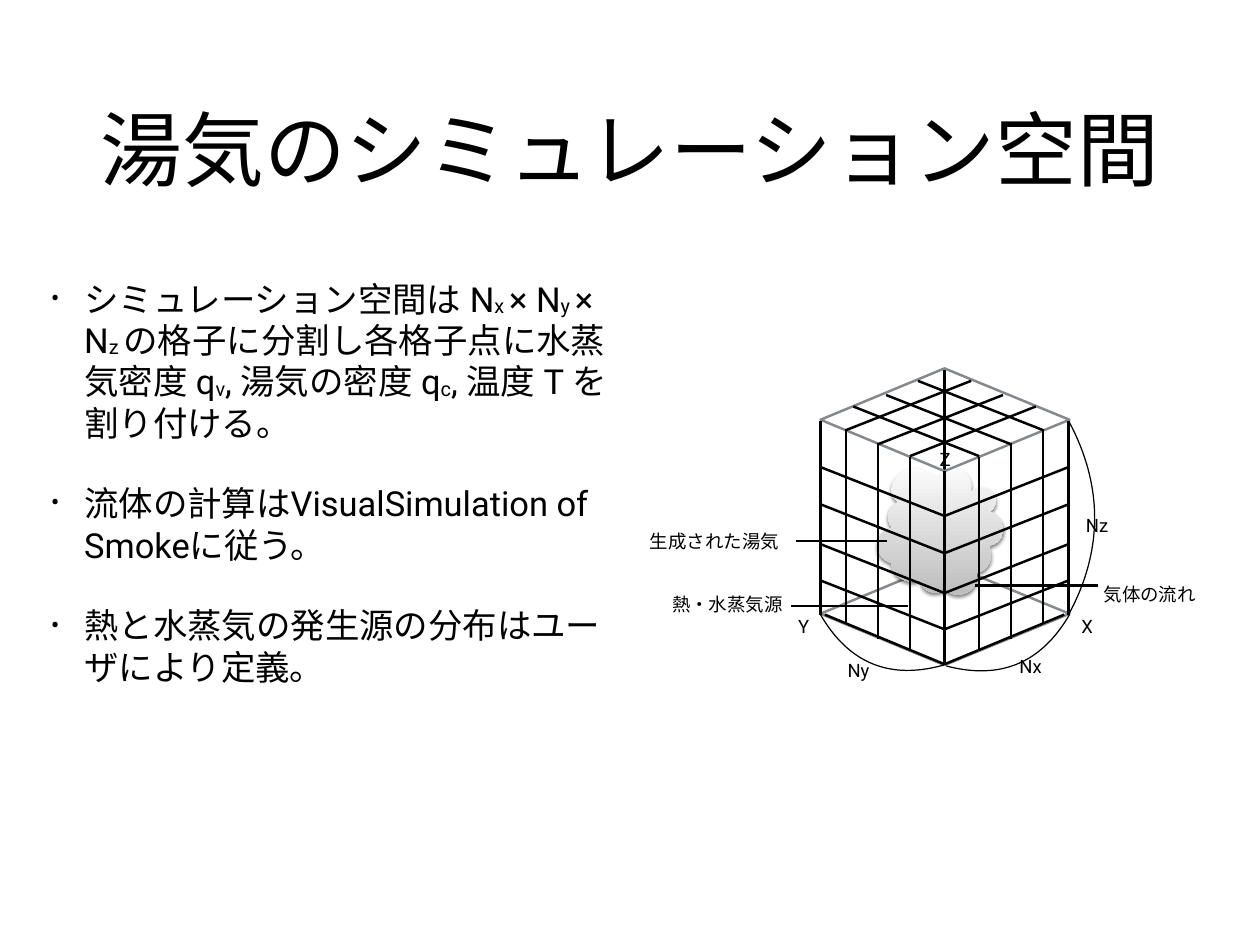
from dataclasses import dataclass

import pptx
import pptx.dml.color
import pptx.enum.shapes
import pptx.enum.text
import pptx.oxml
import pptx.oxml.ns
import pptx.util
from lxml import etree

PX = 9144  # EMU per px, 100 px to the inch
CENTER = 1066  # x of the cube's vertical axis
ALIGN = pptx.enum.text.PP_ALIGN
ANCHOR = pptx.enum.text.MSO_ANCHOR
INSET = pptx.util.Pt(4)
HANGING = pptx.util.Pt(27)


def rgb(code):
    return pptx.dml.color.RGBColor.from_string(code)


@dataclass(frozen=True)
class Theme:
    font: str = "Roboto"
    ink: str = "000000"
    edge: str = "85888D"
    steam: tuple = ("FBFBFB", "BEBEBE")
    title: float = 66.4
    body: int = 28
    label: int = 15


THEME = Theme()

BODY = [
    [("シミュレーション空間は N", False), ("x ", True), ("× N", False), ("y ", True),
     ("× N", False), ("z ", True), ("の格子に分割し各格子点に水蒸気密度 q", False),
     ("v", True), (", 湯気の密度 q", False), ("c", True),
     (", 温度 T を割り付ける。", False)],
    [("流体の計算はVisualSimulation of Smokeに従う。", False)],
    [("熱と水蒸気の発生源の分布はユーザにより定義。", False)],
]

# Each step is a straight end point or two control points and an end point
CLOUD_START = (1006, 636)
CLOUD = [
    (1002, 634, 998, 632, 995, 629), (990, 623, 989, 615, 992, 608),
    (994, 601, 1000, 597, 1007, 596), (1003, 592, 1001, 585, 1003, 579),
    (1004, 573, 1008, 569, 1014, 567), (1009, 564, 1006, 558, 1006, 553),
    (1006, 545, 1011, 539, 1017, 534), (1021, 531, 1027, 528, 1033, 528),
    (1038, 528, 1043, 532, 1048, 534), (1052, 536, 1055, 538, 1059, 540),
    (1063, 532, 1073, 528, 1081, 530), (1093, 533, 1099, 545, 1095, 556),
    (1102, 547, 1115, 548, 1121, 558), (1126, 564, 1124, 574, 1117, 578),
    (1128, 581, 1134, 592, 1132, 602), (1130, 610, 1123, 616, 1116, 616),
    (1119, 623, 1119, 631, 1116, 637), (1113, 642, 1108, 646, 1102, 647),
    (1103, 651, 1102, 656, 1101, 659), (1095, 672, 1079, 675, 1068, 667),
    (1056, 669), (1053, 669, 1049, 669, 1047, 667),
    (1042, 665, 1039, 660, 1039, 655), (1034, 657, 1029, 658, 1024, 656),
    (1014, 654, 1007, 646, 1006, 636),
]

LABELS = [
    ("Nz", 1220, 567, 49, 52, ALIGN.LEFT),
    ("Nx", 1145, 726, 49, 52, ALIGN.LEFT),
    ("Ny", 951, 731, 49, 52, ALIGN.LEFT),
    ("熱・水蒸気源", 753, 662, 210, 41, ALIGN.LEFT),
    ("生成された湯気", 728, 587, 243, 49, ALIGN.LEFT),
    ("気体の流れ", 1240, 645, 177, 52, ALIGN.LEFT),
    ("Z", 1055, 498, 23, 41, ALIGN.CENTER),
    ("Y", 895, 684, 24, 46, ALIGN.CENTER),
    ("X", 1211, 684, 32, 46, ALIGN.CENTER),
]


# Text
def add_frame(slide, left, top, width, height, anchor):
    frame = slide.shapes.add_textbox(left * PX, top * PX, width * PX, height * PX).text_frame
    frame.word_wrap = True
    frame.vertical_anchor = anchor
    frame.margin_left = frame.margin_right = INSET
    frame.margin_top = frame.margin_bottom = INSET
    return frame


def style(paragraph, size):
    font = paragraph.font
    font.name = THEME.font
    font.size = pptx.util.Pt(size)
    font.color.rgb = rgb(THEME.ink)
    east_asian = pptx.oxml.parse_xml(
        f'<a:ea {pptx.oxml.ns.nsdecls("a")} typeface="{THEME.font}"/>')
    paragraph._p.pPr.find(pptx.oxml.ns.qn("a:defRPr")).append(east_asian)


def add_label(slide, text, left, top, width, height, align, size=THEME.label):
    paragraph = add_frame(slide, left, top, width, height, ANCHOR.MIDDLE).paragraphs[0]
    paragraph.text = text
    paragraph.alignment = align
    style(paragraph, size)


def add_bullets(slide, items, left, top, width, height):
    frame = add_frame(slide, left, top, width, height, ANCHOR.TOP)
    for index, pieces in enumerate(items):
        paragraph = frame.add_paragraph() if index else frame.paragraphs[0]
        paragraph.space_before = pptx.util.Pt(32 if index else 0)
        properties = paragraph._p.get_or_add_pPr()
        properties.set("marL", str(HANGING))
        properties.set("indent", str(-HANGING))
        for tag, key, value in (("a:buSzPct", "val", "75000"),
                                ("a:buFont", "typeface", THEME.font),
                                ("a:buChar", "char", "•")):
            etree.SubElement(properties, pptx.oxml.ns.qn(tag)).set(key, value)
        for text, subscript in pieces:
            run = paragraph.add_run()
            run.text = text
            if subscript:
                run._r.get_or_add_rPr().set("baseline", "-4000")
        style(paragraph, THEME.body)


# Lines and outlines
def add_line(slide, x1, y1, x2, y2):
    line = slide.shapes.add_connector(
        pptx.enum.shapes.MSO_CONNECTOR.STRAIGHT, x1 * PX, y1 * PX, x2 * PX, y2 * PX)
    line.line.color.rgb = rgb(THEME.ink)
    line.line.width = pptx.util.Pt(2)
    etree.SubElement(line._element.spPr, pptx.oxml.ns.qn("a:effectLst"))


def add_mirrored(slide, x1, y1, x2, y2):
    add_line(slide, x1, y1, x2, y2)
    add_line(slide, 2 * CENTER - x1, y1, 2 * CENTER - x2, y2)


def add_outline(slide, box, start, steps, close, color=None, width=1):
    # The box fixes the extent; the steps then replace its diagonal
    left, top, box_width, box_height = box
    builder = slide.shapes.build_freeform(left, top, scale=PX)
    builder.add_line_segments([(left + box_width, top + box_height)], close=close)
    outline = builder.convert_to_shape()
    qn = pptx.oxml.ns.qn
    track = next(outline._element.iter(qn("a:path")))
    for child in list(track):
        track.remove(child)
    for index, step in enumerate([start, *steps]):
        tag = "a:moveTo" if index == 0 else "a:lnTo" if len(step) == 2 else "a:cubicBezTo"
        segment = etree.SubElement(track, qn(tag))
        for x, y in zip(step[::2], step[1::2]):
            point = etree.SubElement(segment, qn("a:pt"))
            point.set("x", str(x - left))
            point.set("y", str(y - top))
    if close:
        etree.SubElement(track, qn("a:close"))
    outline.shadow.inherit = False
    outline.fill.background()
    if color:
        outline.line.color.rgb = rgb(color)
        outline.line.width = pptx.util.Pt(width)
    else:
        outline.line.fill.background()
    return outline


def add_diamond(slide, top):
    corners = [(CENTER, top + 116), (1207, top + 58), (CENTER, top)]
    add_outline(slide, (926, top, 281, 116), (926, top + 58), corners, True, THEME.edge, 2)


def add_cloud(slide):
    cloud = add_outline(slide, (990, 528, 142, 143), CLOUD_START, CLOUD, True)
    cloud.fill.gradient()
    cloud.fill.gradient_angle = 270
    for stop, color in zip(cloud.fill.gradient_stops, THEME.steam):
        stop.color.rgb = rgb(color)
    effects = cloud._element.spPr.find(pptx.oxml.ns.qn("a:effectLst"))
    effects.append(pptx.oxml.parse_xml(
        f'<a:outerShdw {pptx.oxml.ns.nsdecls("a")} blurRad="38100" dist="25400" '
        'dir="5400000" rotWithShape="0"><a:srgbClr val="000000">'
        '<a:alpha val="50000"/></a:srgbClr></a:outerShdw>'))


def add_cube(slide):
    # Floor, back edge, steam and lid
    add_line(slide, CENTER, 635, CENTER, 416)
    add_diamond(slide, 635)
    add_cloud(slide)
    add_diamond(slide, 416)
    # Grid on the sides and on the lid
    add_line(slide, CENTER, 751, CENTER, 532)
    for x, top in ((926, 475), (955, 485), (991, 502), (1027, 516)):
        add_mirrored(slide, x, top + 219, x, top)
    for y in (655, 614, 569, 527):
        add_mirrored(slide, 925, y, 1067, y + 56)
    for x, y in ((954, 486), (990, 502), (1027, 515)):
        add_mirrored(slide, x, y, x + 142, y - 56)
    # Axes
    add_line(slide, CENTER, 750, CENTER, 533)
    add_mirrored(slide, CENTER, 750, 931, 694)
    # Dimension arcs
    for box, start, arc in (
            ((926, 694, 139, 63), (1065, 751), (1004, 768, 958, 749, 926, 694)),
            ((1068, 694, 139, 63), (1207, 694), (1175, 749, 1129, 768, 1068, 752)),
            ((1206, 477, 29, 217), (1207, 477), (1245, 549, 1245, 622, 1206, 694))):
        add_outline(slide, box, start, [arc], False, THEME.ink)


def main():
    deck = pptx.Presentation()
    deck.slide_width, deck.slide_height = 1422 * PX, 1067 * PX
    slide = deck.slides.add_slide(deck.slide_layouts[6])

    # Title
    add_label(slide, "湯気のシミュレーション空間", 104, 49, 1214, 236, ALIGN.CENTER, THEME.title)
    # Simulation space with leader lines and labels
    add_cube(slide)
    for x1, x2, y in ((893, 1025, 684), (898, 1001, 611), (1100, 1239, 661)):
        add_line(slide, x1, y, x2, y)
    for label in LABELS:
        add_label(slide, *label)
    # Explanation
    add_bullets(slide, BODY, 52, 308, 657, 659)
    deck.save("out.pptx")


if __name__ == "__main__":
    main()
